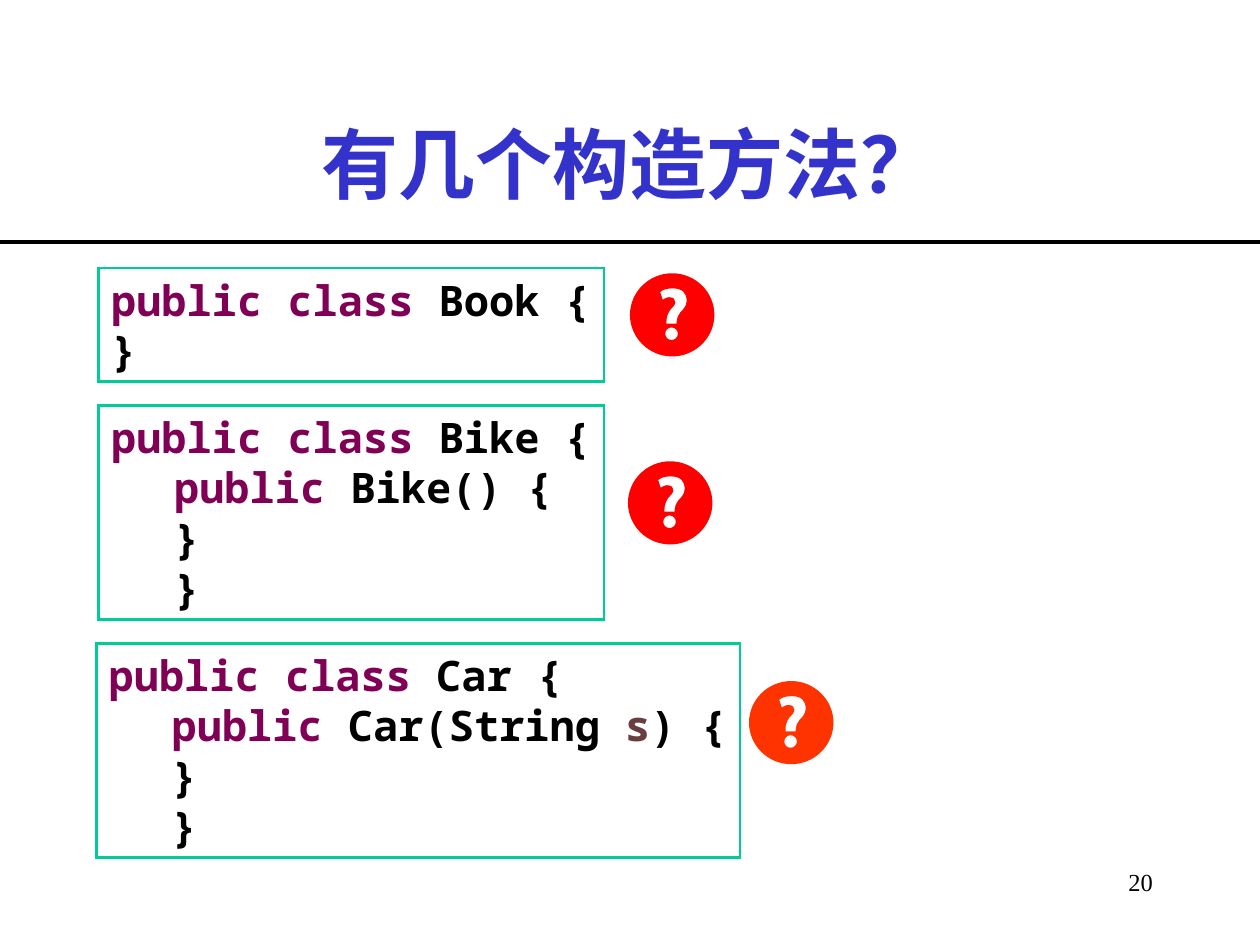
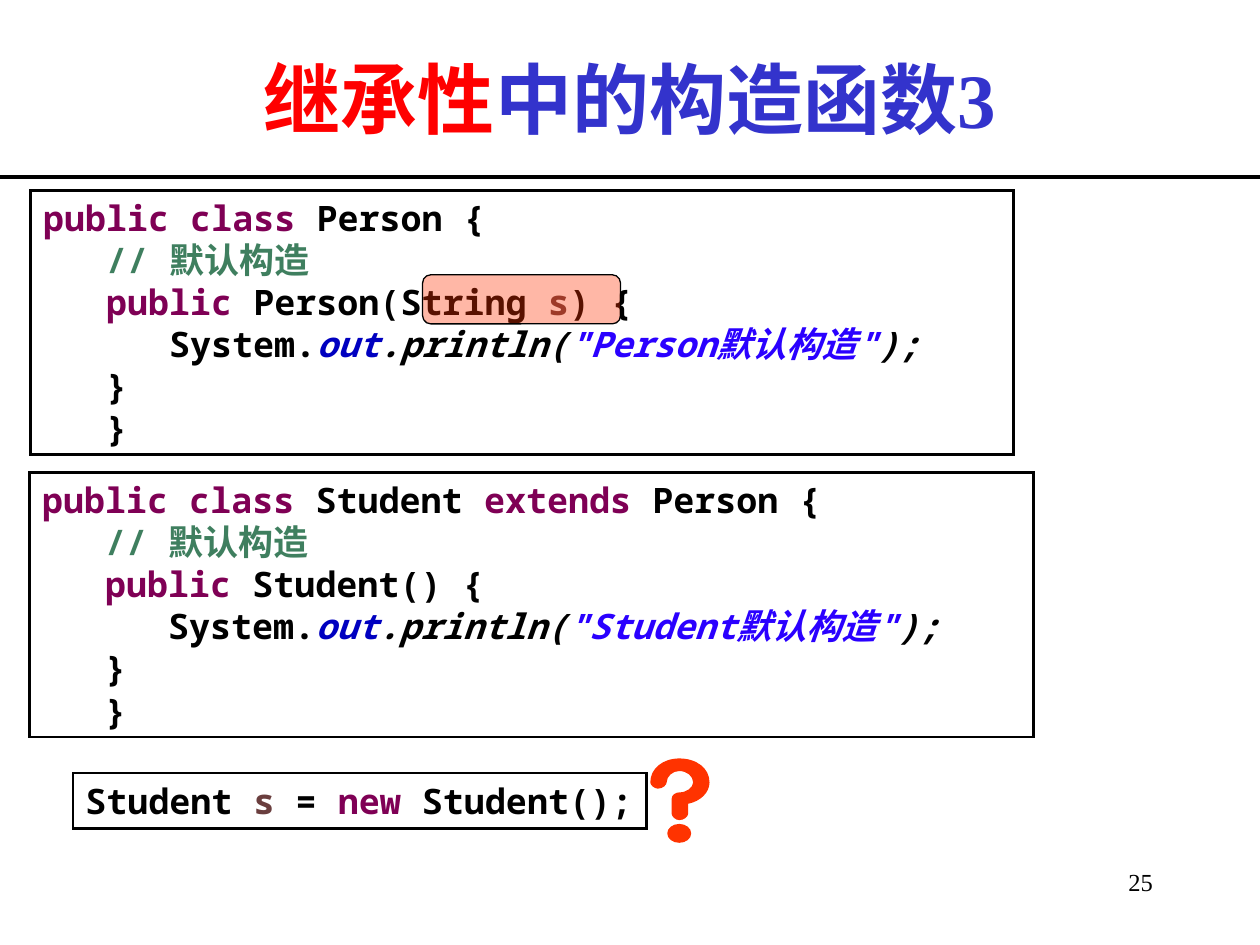
from lxml import etree
from pptx import Presentation
from pptx.dml.color import RGBColor
from pptx.enum.shapes import MSO_CONNECTOR, MSO_SHAPE
from pptx.enum.text import MSO_ANCHOR, MSO_AUTO_SIZE, PP_ALIGN
from pptx.oxml.ns import qn
from pptx.util import Cm, Pt

STRAIGHT = MSO_CONNECTOR.STRAIGHT
RECT, ROUND = MSO_SHAPE.RECTANGLE, MSO_SHAPE.ROUNDED_RECTANGLE
LEFT, CENTER, RIGHT = PP_ALIGN.LEFT, PP_ALIGN.CENTER, PP_ALIGN.RIGHT
TOP, MIDDLE = MSO_ANCHOR.TOP, MSO_ANCHOR.MIDDLE
FIT = MSO_AUTO_SIZE.SHAPE_TO_FIT_TEXT

BLACK, BLUE, RED, ORANGE, GREEN = "000000", "3333CC", "FF0000", "FF3300", "00CC99"
SERIF, MONO = "Times New Roman", "Noto Sans Mono"
WIDTH, HEIGHT = 25.4, 19.05
INDENT, TAB = 1.27, 3.81

# Syntax styles: colour, italic
STYLES = {"key": ("7F0055", False), "text": (BLACK, False),
          "var": ("6A3E3E", False), "note": ("3F7F5F", False),
          "field": ("0000C0", True), "call": (BLACK, True),
          "string": ("2A00FF", True)}


# Code content: each line is (level, runs)
def opener(name, base=""):
    runs = [("key", "public class"), ("text", f" {name} ")]
    if base:
        runs += [("key", "extends"), ("text", f" {base} ")]
    kind, last = runs[-1]
    return (0, runs[:-1] + [(kind, last + "{")])


def method(name, arg=False):
    runs = [("key", "public")]
    if arg:
        runs += [("text", f" {name}(String "), ("var", "s"), ("text", ") {")]
    else:
        runs += [("text", f" {name}() {{")]
    return (1, runs)


def output(name):
    return (1, [("text", "\tSystem."), ("field", "out"), ("call", ".println("),
                ("string", f'"{name}默认构造"'), ("call", ");")])


NOTE = (1, [("note", "// 默认构造")])
CLOSE = (1, [("text", "}")])

BOOK = [opener("Book"), (0, [("text", "}")])]
BIKE = [opener("Bike"), method("Bike"), CLOSE, CLOSE]
CAR = [opener("Car"), method("Car", True), CLOSE, CLOSE]
PERSON = [opener("Person"), NOTE, method("Person", True), output("Person"),
          CLOSE, CLOSE]
STUDENT = [opener("Student", "Person"), NOTE, method("Student"),
           output("Student"), CLOSE, CLOSE]
CREATE = [(0, [("text", "Student "), ("var", "s"), ("text", " = "),
               ("key", "new"), ("text", " Student();")])]

SLIDES = [
    {"number": "20", "top": 1.69, "title": [("有几个构造方法？", BLUE)],
     "size": 24, "edge": GREEN,
     "codes": [(1.99, 5.4, 10.19, 2.29, BOOK),
               (1.94, 12.97, 12.98, 4.32, CAR),
               (1.99, 8.17, 10.19, 4.32, BIKE)],
     "badges": [(12.7, 5.51, RED), (12.66, 9.3, RED), (15.1, 13.73, ORANGE)]},
    {"number": "25", "top": 0.38,
     "title": [("继承性", RED), ("中的构造函数3", BLUE)],
     "size": 20, "edge": BLACK,
     "codes": [(0.62, 3.84, 19.81, 5.33, PERSON),
               (0.6, 9.53, 20.24, 5.33, STUDENT),
               (1.47, 15.58, 11.56, 1.12, CREATE)],
     "marks": [(13.11, 15.29, ORANGE)],
     "lights": [(8.52, 5.54, 3.99, 0.99)]},
]

# Question mark outlines in units of 0.0254 cm: points or cubic curves
UNIT = 0.0254
THIN = [(40, 31), (38, 34, 37, 36, 37, 39), (37, 40), (29, 40), (29, 38),
        (29, 35, 30, 32, 32, 29), (34, 27, 36, 25, 36, 23),
        (36, 21, 35, 19, 31, 19), (30, 19, 27, 20, 26, 21), (24, 15),
        (26, 13, 29, 12, 34, 12), (42, 12, 45, 16, 45, 22),
        (45, 26, 42, 29, 40, 31)]
BOLD = [(23, 0), (37, 0, 47, 8, 47, 19), (47, 27, 40, 34, 30, 36), (30, 44),
        (30, 46, 27, 49, 23, 49), (20, 49, 17, 46, 17, 44), (17, 32),
        (17, 29, 20, 27, 23, 27), (29, 27, 34, 23, 34, 19),
        (34, 14, 29, 10, 23, 10), (18, 10, 13, 14, 13, 19),
        (13, 21, 10, 24, 6, 24), (3, 24, 0, 21, 0, 19),
        (0, 8, 10, 0, 23, 0)]


def ring(x, y, wide, high):
    """Four quarter curves around a centre."""
    a, b = 0.55 * wide, 0.55 * high
    return [(x, y - high),
            (x - a, y - high, x - wide, y - b, x - wide, y),
            (x - wide, y + b, x - a, y + high, x, y + high),
            (x + a, y + high, x + wide, y + b, x + wide, y),
            (x + wide, y - b, x + a, y - high, x, y - high)]


BADGE = [ring(33.5, 33, 33.5, 33), ring(33, 48, 5, 5), THIN]
MARK = [ring(23, 59.5, 9.5, 7.5), BOLD]


# Drawing helpers
def color(code):
    return RGBColor.from_string(code)


def paint(shape, fill, edge, width=1.5):
    shape.shadow.inherit = False
    if fill:
        shape.fill.solid()
        shape.fill.fore_color.rgb = color(fill)
    else:
        shape.fill.background()
    if edge:
        shape.line.color.rgb = color(edge)
        shape.line.width = Pt(width)
    else:
        shape.line.fill.background()


def write(para, text, code, size, face, bold=False, slant=False):
    run = para.add_run()
    run.text = text
    font = run.font
    font.name, font.size, font.bold, font.italic = face, Pt(size), bold, slant
    font.color.rgb = color(code)


def label(slide, spot, runs, size, align, anchor, bold=False):
    frame = slide.shapes.add_textbox(*map(Cm, spot)).text_frame
    frame.word_wrap = True
    frame.vertical_anchor = anchor
    para = frame.paragraphs[0]
    para.alignment = align
    for text, code in runs:
        write(para, text, code, size, SERIF, bold)


def code_box(slide, spot, lines, size, edge):
    box = slide.shapes.add_shape(RECT, *map(Cm, spot))
    paint(box, None, edge)
    etree.SubElement(box.line._get_or_add_ln(), qn("a:miter"), lim="800000")
    frame = box.text_frame
    frame.word_wrap = False
    frame.auto_size = FIT
    frame.vertical_anchor = TOP
    for i, (level, runs) in enumerate(lines):
        para = frame.add_paragraph() if i else frame.paragraphs[0]
        para.alignment = LEFT
        para.level = level
        props = para._p.get_or_add_pPr()
        props.set("marL", str(Cm(INDENT * level)))
        props.set("indent", "0")
        stops = etree.SubElement(props, qn("a:tabLst"))
        etree.SubElement(stops, qn("a:tab"), pos=str(Cm(TAB)), algn="l")
        for kind, text in runs:
            code, slant = STYLES[kind]
            write(para, text, code, size, MONO, True, slant)


def outline(slide, left, top, code, loops):
    def place(x, y):
        return Cm(left + x * UNIT), Cm(top + y * UNIT)

    build = None
    for loop in loops:
        dots = [place(*part[-2:]) for part in loop]
        if build:
            build.move_to(*dots[0])
        else:
            build = slide.shapes.build_freeform(*dots[0])
        build.add_line_segments(dots[1:], close=True)
    shape = build.convert_to_shape()
    paint(shape, code, None)

    # Bend the segments that are curves
    steps = [part for loop in loops for part in loop[1:]]
    lines = list(shape._element.spPr.iter(qn("a:lnTo")))
    for line, part in zip(lines, steps):
        if len(part) == 6:
            curve = etree.Element(qn("a:cubicBezTo"))
            for i in (0, 2, 4):
                x, y = place(*part[i:i + 2])
                etree.SubElement(curve, qn("a:pt"), x=str(x - shape.left),
                                 y=str(y - shape.top))
            line.getparent().replace(line, curve)


def highlight(slide, spot):
    box = slide.shapes.add_shape(ROUND, *map(Cm, spot))
    paint(box, ORANGE, BLACK, 0.75)
    tint = box._element.spPr.find(qn("a:solidFill"))[0]
    etree.SubElement(tint, qn("a:alpha"), val="35000")


# Shared frame: number, title and rule
def base(slide, data):
    label(slide, (20.75, 17.35, 2.74, 1.27), [(data["number"], BLACK)],
          14, RIGHT, TOP)
    top, high = data["top"], 3.18
    label(slide, (1.9, top, 21.6, high), data["title"], 44, CENTER, MIDDLE, True)
    y = Cm(top + high)
    rule = slide.shapes.add_connector(STRAIGHT, 0, y, Cm(WIDTH), y)
    rule.line.color.rgb = color(BLACK)
    rule.line.width = Pt(2.25)
    etree.SubElement(rule._element.spPr, qn("a:effectLst"))


def main():
    deck = Presentation()
    deck.slide_width, deck.slide_height = Cm(WIDTH), Cm(HEIGHT)
    for data in SLIDES:
        slide = deck.slides.add_slide(deck.slide_layouts[6])
        base(slide, data)
        for *spot, lines in data["codes"]:
            code_box(slide, spot, lines, data["size"], data["edge"])
        for key, loops in (("badges", BADGE), ("marks", MARK)):
            for left, top, code in data.get(key, []):
                outline(slide, left, top, code, loops)
        for spot in data.get("lights", []):
            highlight(slide, spot)
    deck.save("out.pptx")


if __name__ == "__main__":
    main()
